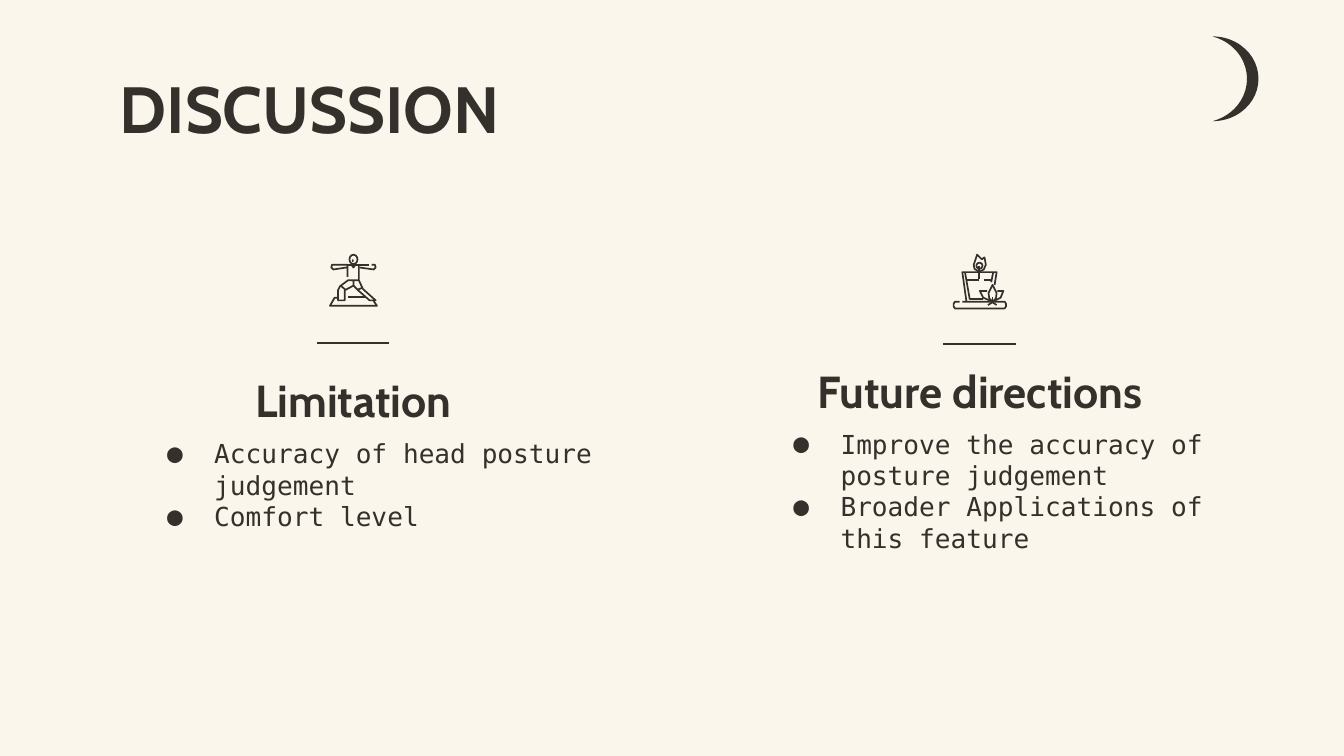
from dataclasses import dataclass
from math import cos, pi, sin

from pptx import Presentation
from pptx.dml.color import RGBColor
from pptx.enum import shapes, text
from pptx.oxml import parse_xml
from pptx.oxml.ns import nsdecls
from pptx.util import Pt


@dataclass(frozen=True)
class Theme:
    """Colours, fonts and sizes of the slide."""
    ink: RGBColor = RGBColor(0x34, 0x30, 0x2B)
    paper: RGBColor = RGBColor(0xFB, 0xF6, 0xEB)
    head: str = "Cabin"
    mono: str = "DejaVu Sans Mono"
    title: int = 35
    sub: int = 24
    body: int = 14
    rule: float = 1.5
    pen: float = 0.9
    grid: float = 0.72


THEME = Theme()


def ring(left, top, wide, high, count=12):
    """Return the points of a closed oval."""
    turns = [2 * pi * num / count for num in range(count + 1)]
    return [(left + wide * (1 + cos(turn)) / 2, top + high * (1 + sin(turn)) / 2)
            for turn in turns]


YOGA = [
    ring(15, 0.5, 6, 7),
    [(13.5, 17), (13.5, 8), (2, 8), (1.5, 10), (3, 11.5), (13, 10)],
    [(13.5, 8), (29.5, 8)],
    [(31.5, 8), (34, 8), (34.5, 10), (33, 11.5), (22.5, 10)],
    [(22, 8), (22, 19.5), (14, 19.5), (8, 24), (6.5, 27), (6.5, 34.5),
     (11.5, 34.5), (11.5, 27), (18, 23.5), (18, 19.5)],
    [(18, 23.5), (22, 27.5), (30, 34.5), (34.5, 34.5), (25, 26), (22, 19.5)],
    [(9, 24), (12, 26.5)],
    [(21, 26.5), (25, 25)],
    [(6, 32.5), (4, 32.5), (0.5, 38.5), (35.5, 38.5), (33, 35)],
    [(14, 32), (27, 32)],
    [(16.5, 8), (18, 10), (19.5, 8)],
]

CANDLE = [
    ring(17.5, 6.5, 4.5, 4.5),
    [(19, 13), (16, 11), (15.5, 8), (18, 0.5), (21.5, 4), (23.5, 2.5),
     (24.5, 8), (23, 11.5), (20, 13)],
    [(19.5, 9), (19.5, 19)],
    [(10, 35), (7, 13.5), (32.5, 13.5), (31, 23)],
    [(9, 13.5), (12.5, 33.5), (22.5, 33.5)],
    [(30, 13.5), (28.5, 21)],
    [(10, 19.5), (19.5, 19.5)],
    [(23, 19.5), (29, 19.5)],
    [(29.5, 23), (26.5, 29), (27, 33), (29.5, 35.5), (32, 33),
     (32.5, 29), (29.5, 23)],
    [(25.5, 27.5), (20, 27.5), (22.5, 32.5), (29.5, 35.5)],
    [(33, 27.5), (37.5, 27.5), (35.5, 32.5), (29.5, 35.5)],
    [(29.5, 32), (29.5, 35.5)],
    [(26, 38), (29.5, 36), (32.5, 38)],
    [(5, 35.5), (1.5, 35.5), (0.5, 37), (0.5, 39), (1.5, 40.5),
     (38.5, 40.5), (39.5, 39), (39.5, 37), (38.5, 35.5), (7, 35.5)],
]


def write(slide, box, lines, font=THEME.head, size=THEME.sub, bold=True,
          align=text.PP_ALIGN.LEFT, anchor=text.MSO_ANCHOR.MIDDLE, bullet=False):
    """Add a text box with one paragraph for each line."""
    frame = slide.shapes.add_textbox(*map(Pt, box)).text_frame
    frame.word_wrap = True
    frame.vertical_anchor = anchor
    frame.margin_left = frame.margin_right = Pt(7.2)
    frame.margin_top = frame.margin_bottom = Pt(7.2)
    for num, line in enumerate(lines):
        para = frame.add_paragraph() if num else frame.paragraphs[0]
        if bullet:
            mark(para)
        para.alignment = align
        run = para.add_run()
        run.text = line
        run.font.name, run.font.size, run.font.bold = font, Pt(size), bold
        run.font.color.rgb = THEME.ink


def mark(para):
    """Give a paragraph a round bullet and a hanging indent."""
    props = para._p.get_or_add_pPr()
    props.set("marL", str(Pt(36)))
    props.set("indent", str(-Pt(25.2)))
    ns = nsdecls("a")
    props.append(parse_xml(
        f'<a:buClr {ns}><a:srgbClr val="{THEME.ink}"/></a:buClr>'))
    props.append(parse_xml(f'<a:buFont {ns} typeface="{THEME.mono}"/>'))
    props.append(parse_xml(f'<a:buChar {ns} char="●"/>'))


def rule(slide, left, top, width):
    """Draw a short level line."""
    line = slide.shapes.add_connector(
        shapes.MSO_CONNECTOR.STRAIGHT, Pt(left), Pt(top), Pt(left + width), Pt(top))
    line.line.color.rgb, line.line.width = THEME.ink, Pt(THEME.rule)
    line._element.spPr.append(parse_xml(f'<a:effectLst {nsdecls("a")}/>'))


def icon(slide, left, top, art):
    """Draw an icon as one thin outline on a fine grid."""
    pen = None
    for line in art:
        dots = [(Pt(left + x * THEME.grid), Pt(top + y * THEME.grid))
                for x, y in line]
        if pen:
            pen.move_to(*dots[0])
        else:
            pen = slide.shapes.build_freeform(*dots[0])
        pen.add_line_segments(dots[1:], close=False)
    shape = pen.convert_to_shape()
    shape.shadow.inherit = False
    shape.fill.background()
    shape.line.color.rgb, shape.line.width = THEME.ink, Pt(THEME.pen)


def solid(slide, kind, left, top, width, height):
    """Add a preset shape filled with ink."""
    shape = slide.shapes.add_shape(kind, Pt(left), Pt(top), Pt(width), Pt(height))
    shape.shadow.inherit = False
    shape.fill.solid()
    shape.fill.fore_color.rgb = THEME.ink
    shape.line.fill.background()
    return shape


def moon(slide, left, top, width, height):
    """Draw a slim crescent that opens to the left."""
    shape = solid(slide, shapes.MSO_SHAPE.MOON, left, top, width, height)
    shape.adjustments[0] = 0.25
    shape.rotation = 180


def topic(slide, left, top, wide, name, points):
    """Add a centred heading with its bulleted points below."""
    write(slide, (left, top, 235.4, 41.8), [name], align=text.PP_ALIGN.CENTER)
    write(slide, (left, top + 34, wide, 82), points, font=THEME.mono,
          size=THEME.body, bold=False, anchor=text.MSO_ANCHOR.TOP, bullet=True)


def main():
    """Build the slide and save it."""
    deck = Presentation()
    deck.slide_width, deck.slide_height = Pt(720), Pt(405)
    slide = deck.slides.add_slide(deck.slide_layouts[6])
    slide.background.fill.solid()
    slide.background.fill.fore_color.rgb = THEME.paper

    write(slide, (57, 34.8, 607, 45.4), ["DISCUSSION"], size=THEME.title)
    topic(slide, 71.6, 193.3, 288.7, "Limitation",
          ["Accuracy of head posture judgement", "Comfort level"])
    topic(slide, 407.2, 188.1, 278, "Future directions",
          ["Improve the accuracy of posture judgement",
           "Broader Applications of this feature"])
    rule(slide, 169.9, 183.8, 38.6)
    rule(slide, 505.4, 184.3, 38.9)
    solid(slide, shapes.MSO_SHAPE.OVAL, 188.6, 138.9, 0.9, 1.5)
    icon(slide, 176.4, 136.1, YOGA)
    icon(slide, 510.5, 136.1, CANDLE)
    moon(slide, 649.6, 19.5, 24.6, 45.4)
    deck.save("out.pptx")


if __name__ == "__main__":
    main()
